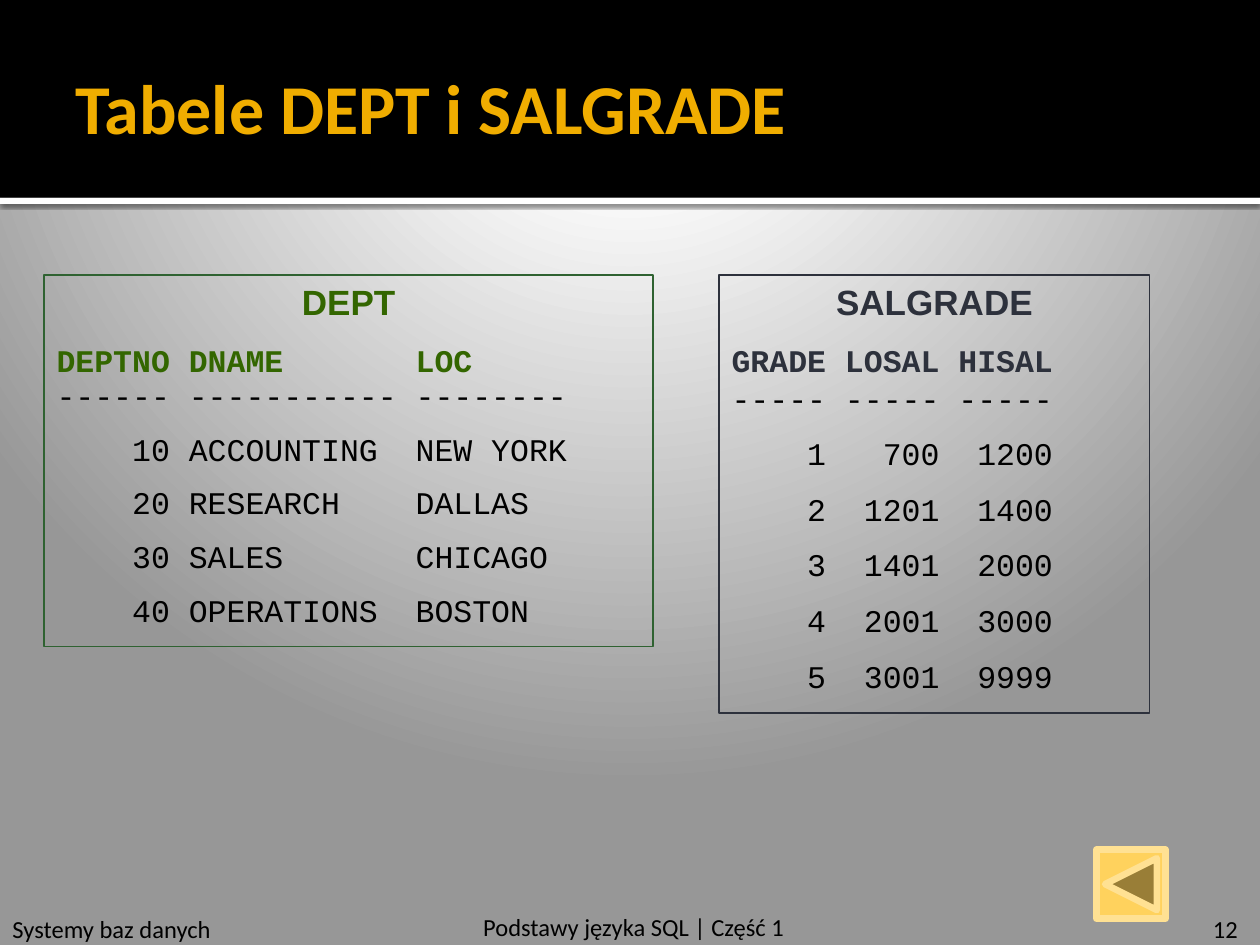
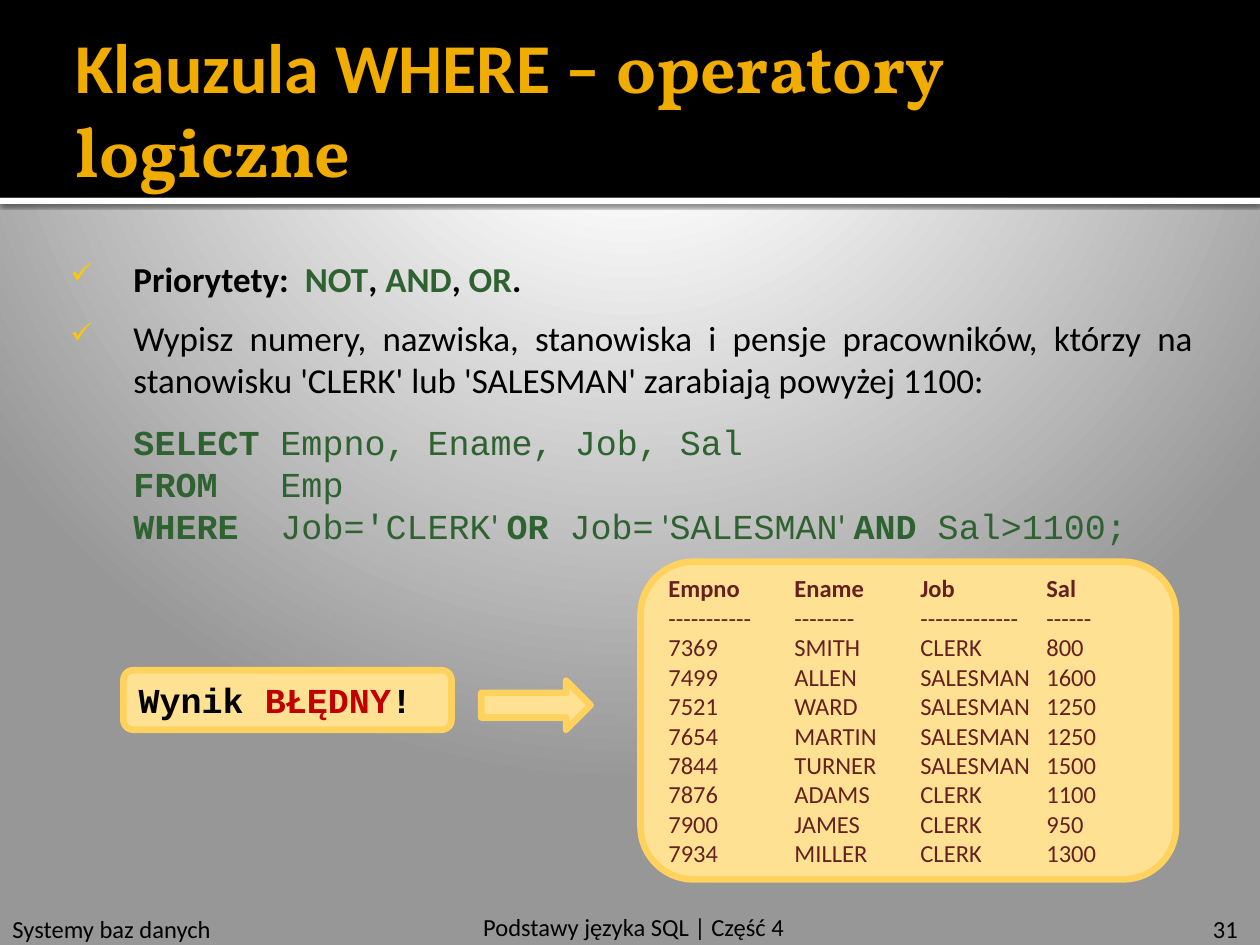
import pptx
import pptx.util
import pptx.oxml
import pptx.dml.color
import pptx.enum.shapes
import pptx.enum.text

Pt = pptx.util.Pt
SHAPES = pptx.enum.shapes.MSO_SHAPE
ALIGN = pptx.enum.text.PP_ALIGN
ANCHOR = pptx.enum.text.MSO_ANCHOR
NAMESPACES = (
    'xmlns:a="http://schemas.openxmlformats.org/drawingml/2006/main" '
    'xmlns:p="http://schemas.openxmlformats.org/presentationml/2006/main"'
)
COLORS = {
    "black": "000000",
    "white": "FFFFFF",
    "backdrop": "979797",
    "title": "F0AD00",
    "dept": "336600",
    "green": "2F6231",
    "slate": "2D313C",
    "gold": "FFD25D",
    "cream": "FFE193",
    "check": "FFC800",
    "brown": "672020",
    "red": "C00000",
}
CHARACTER = 10.8


def add_box(slide, kind, box, fill=None, line=None, width=1):
    lengths = [Pt(value) for value in box]
    if kind is None:
        return slide.shapes.add_textbox(*lengths)
    shape = slide.shapes.add_shape(kind, *lengths)
    shape.shadow.inherit = False
    if fill:
        shape.fill.solid()
        shape.fill.fore_color.rgb = pptx.dml.color.RGBColor.from_string(COLORS[fill])
    else:
        shape.fill.background()
    if line:
        shape.line.color.rgb = pptx.dml.color.RGBColor.from_string(COLORS[line])
        shape.line.width = Pt(width)
    else:
        shape.line.fill.background()
    return shape


def write(shape, paragraphs, frame_format=None, tabs=(), bullet=False):
    frame = shape.text_frame
    frame.word_wrap = True
    for name, value in {"vertical_anchor": ANCHOR.TOP, **(frame_format or {})}.items():
        setattr(frame, name, value)
    current = {}
    for index, (paragraph_format, runs) in enumerate(paragraphs):
        paragraph = frame.add_paragraph() if index else frame.paragraphs[0]
        for name, value in {"alignment": ALIGN.LEFT, **paragraph_format}.items():
            setattr(paragraph, name, value)
        properties = paragraph._p.get_or_add_pPr()
        if bullet:
            properties.set("marL", str(Pt(36)))
            properties.set("indent", str(-Pt(36)))
            for markup in (
                f'<a:buClr {NAMESPACES}><a:srgbClr val="{COLORS["check"]}"/></a:buClr>',
                f'<a:buSzPct {NAMESPACES} val="80000"/>',
                f'<a:buChar {NAMESPACES} char="✓"/>',
            ):
                properties.append(pptx.oxml.parse_xml(markup))
        if tabs:
            stops = "".join(f'<a:tab pos="{Pt(place)}" algn="{side}"/>' for place, side in tabs)
            properties.append(pptx.oxml.parse_xml(f"<a:tabLst {NAMESPACES}>{stops}</a:tabLst>"))
        for text, changes in runs:
            current.update(changes)
            if text == "\n":
                paragraph.add_line_break()
                continue
            run = paragraph.add_run()
            run.text = text
            for name, value in current.items():
                if name == "color":
                    run.font.color.rgb = pptx.dml.color.RGBColor.from_string(COLORS[value])
                else:
                    setattr(run.font, name, value)


presentation = pptx.Presentation()
presentation.slide_width = Pt(720)
presentation.slide_height = Pt(540)

footer_font = {"size": Pt(14), "name": "Calibri", "color": "black"}
title_font = {"size": Pt(40), "name": "Calibri", "color": "title", "bold": True}
title_frame = {"vertical_anchor": ANCHOR.MIDDLE, "margin_right": Pt(3.6)}
gradient_stops = "".join(
    f'<a:gs pos="{place * 1000}"><a:srgbClr val="{COLORS[color]}"/></a:gs>'
    for place, color in ((0, "white"), (12, "white"), (20, "white"), (100, "backdrop"))
)
background = (
    f'<p:bg {NAMESPACES}><p:bgPr><a:gradFill rotWithShape="1"><a:gsLst>{gradient_stops}</a:gsLst>'
    '<a:path path="circle"><a:fillToRect l="10000" t="-25000" r="10000" b="125000"/></a:path>'
    "</a:gradFill><a:effectLst/></p:bgPr></p:bg>"
)
band_shadow = (
    f'<a:effectLst {NAMESPACES}><a:outerShdw blurRad="{Pt(2.5)}" dist="{Pt(0.8)}" dir="5400000">'
    f'<a:srgbClr val="{COLORS["black"]}"><a:alpha val="60000"/></a:srgbClr></a:outerShdw></a:effectLst>'
)

pages = [
    ("12", "Część 1", (36, 33, 648, 55.5), [("Tabele DEPT i SALGRADE", title_font)]),
    ("31", "Część 4", (36, 9.5, 648, 104),
     [("Klauzula WHERE – ", title_font), ("operatory logiczne", {"name": "Vollkorn"})]),
]
slides = []
for number, part, title_box, title_runs in pages:
    slide = presentation.slides.add_slide(presentation.slide_layouts[6])
    slides.append(slide)
    slide._element.cSld.insert(0, pptx.oxml.parse_xml(background))
    stripe = add_box(slide, SHAPES.RECTANGLE, (0, 113, 720, 3.6), "white")
    properties = stripe._element.spPr
    properties.replace(properties[-1], pptx.oxml.parse_xml(band_shadow))
    add_box(slide, SHAPES.RECTANGLE, (0, 0, 720, 113), "black")
    for box, text in (
        ((0, 519, 206.5, 24.5), "Systemy baz danych"),
        ((686, 519, 34, 24.5), number),
        ((269, 517.5, 204, 24.5), f"Podstawy języka SQL | {part}"),
    ):
        write(add_box(slide, None, box), [({}, [(text, footer_font)])])
    write(add_box(slide, None, title_box), [({}, title_runs)], title_frame)

tables_slide, where_slide = slides

tables = [
    ("DEPT", (25.2, 157, 348, 212.5), "green", "dept", 0.95, ((6, "r"), (7, "l"), (19, "l")), [
        ("DEPTNO", "DNAME", "LOC"),
        ("------", "-----------", "--------"),
        ("10", "ACCOUNTING", "NEW YORK"),
        ("20", "RESEARCH", "DALLAS"),
        ("30", "SALES", "CHICAGO"),
        ("40", "OPERATIONS", "BOSTON"),
    ]),
    ("SALGRADE", (411, 157, 246, 250.5), "slate", "slate", 1.0, ((5, "r"), (11, "r"), (17, "r")), [
        ("GRADE", "LOSAL", "HISAL"),
        ("-----", "-----", "-----"),
        ("1", "700", "1200"),
        ("2", "1201", "1400"),
        ("3", "1401", "2000"),
        ("4", "2001", "3000"),
        ("5", "3001", "9999"),
    ]),
]
for name, box, line, color, spacing, columns, rows in tables:
    heading = {"size": Pt(20), "name": "Arial", "color": color, "bold": True}
    paragraphs = [({"alignment": ALIGN.CENTER}, [(name, heading)])]
    for index, row in enumerate(rows):
        row_format = {
            "space_before": Pt(0 if index == 1 else 10.2),
            "line_spacing": spacing if index else 1.0,
        }
        row_font = {"size": Pt(18), "name": "Courier New"}
        if index:
            row_font.update(color="black", bold=False)
        paragraphs.append((row_format, [("\t" + "\t".join(row), row_font)]))
    tabs = [(count * CHARACTER, side) for count, side in columns]
    write(add_box(tables_slide, SHAPES.RECTANGLE, box, line=line), paragraphs, tabs=tabs)
add_box(tables_slide, SHAPES.ACTION_BUTTON_BACK_OR_PREVIOUS, (626.5, 485.5, 39.5, 39.5), "gold", "cream", 3.78)

green, black = {"color": "green"}, {"color": "black"}
priorities = [
    ("Priorytety:  ", {"size": Pt(20), "name": "Calibri", "color": "black", "bold": True}),
    ("NOT", green), (", ", black), ("AND", green), (", ", black), ("OR", green), (".", black),
]
task = (
    "Wypisz numery, nazwiska, stanowiska i pensje pracowników, którzy na "
    "stanowisku 'CLERK' lub 'SALESMAN' zarabiają powyżej 1100:"
)
write(
    add_box(where_slide, None, (36, 139.7, 653, 95)),
    [
        ({"alignment": ALIGN.JUSTIFY}, priorities),
        ({"alignment": ALIGN.JUSTIFY, "space_before": Pt(10)}, [(task, {"bold": False})]),
    ],
    {"margin_left": Pt(4.3), "margin_top": Pt(7.2)},
    bullet=True,
)

keyword, plain = {"name": "Courier New", "bold": True}, {"name": "Courier New", "bold": False}
quote = {"name": "Calibri", "bold": False}
query = [
    ("SELECT", {"size": Pt(20), "color": "green", **keyword}), ("\tEmpno, Ename, Job, Sal", plain), ("\n", {}),
    ("FROM", keyword), ("\tEmp", plain), ("\n", {}),
    ("WHERE", keyword), ("\tJob='CLERK", plain), ("' ", quote), ("OR", keyword), (" Job=", plain),
    (" '", quote), ("SALESMAN", plain), ("' ", quote), ("AND", keyword), (" Sal>1100;", plain),
]
write(
    add_box(where_slide, None, (72, 237, 617, 80)),
    [({"line_spacing": Pt(24)}, query)],
    {"margin_left": Pt(4.3)},
    tabs=[(84, "l")],
)

employees = [
    ("Empno", "Ename", "Job", "Sal"),
    ("-----------", "--------", "-------------", "------"),
    ("7369", "SMITH", "CLERK", "800"),
    ("7499", "ALLEN", "SALESMAN", "1600"),
    ("7521", "WARD", "SALESMAN", "1250"),
    ("7654", "MARTIN", "SALESMAN", "1250"),
    ("7844", "TURNER", "SALESMAN", "1500"),
    ("7876", "ADAMS", "CLERK", "1100"),
    ("7900", "JAMES", "CLERK", "950"),
    ("7934", "MILLER", "CLERK", "1300"),
]
employee_font = {"size": Pt(14), "name": "Calibri", "color": "brown"}
write(
    add_box(where_slide, SHAPES.ROUNDED_RECTANGLE, (366, 321, 306, 181.5), "cream", "gold", 3.78),
    [({}, [("\t".join(row), {**employee_font, "bold": index == 0})]) for index, row in enumerate(employees)],
    {"vertical_anchor": ANCHOR.MIDDLE},
    tabs=[(72 * column, "l") for column in (1, 2, 3)],
)
write(
    add_box(where_slide, SHAPES.ROUNDED_RECTANGLE, (70.5, 383, 187.5, 34), "cream", "gold", 3.78),
    [({}, [("Wynik ", {"size": Pt(20), "color": "black", **keyword}), ("BŁĘDNY", {"color": "red"}), ("!", black)])],
    {"vertical_anchor": ANCHOR.MIDDLE},
)
add_box(where_slide, SHAPES.RIGHT_ARROW, (275, 389, 62.5, 28), "cream", "gold", 3.78)

presentation.save("out.pptx")
